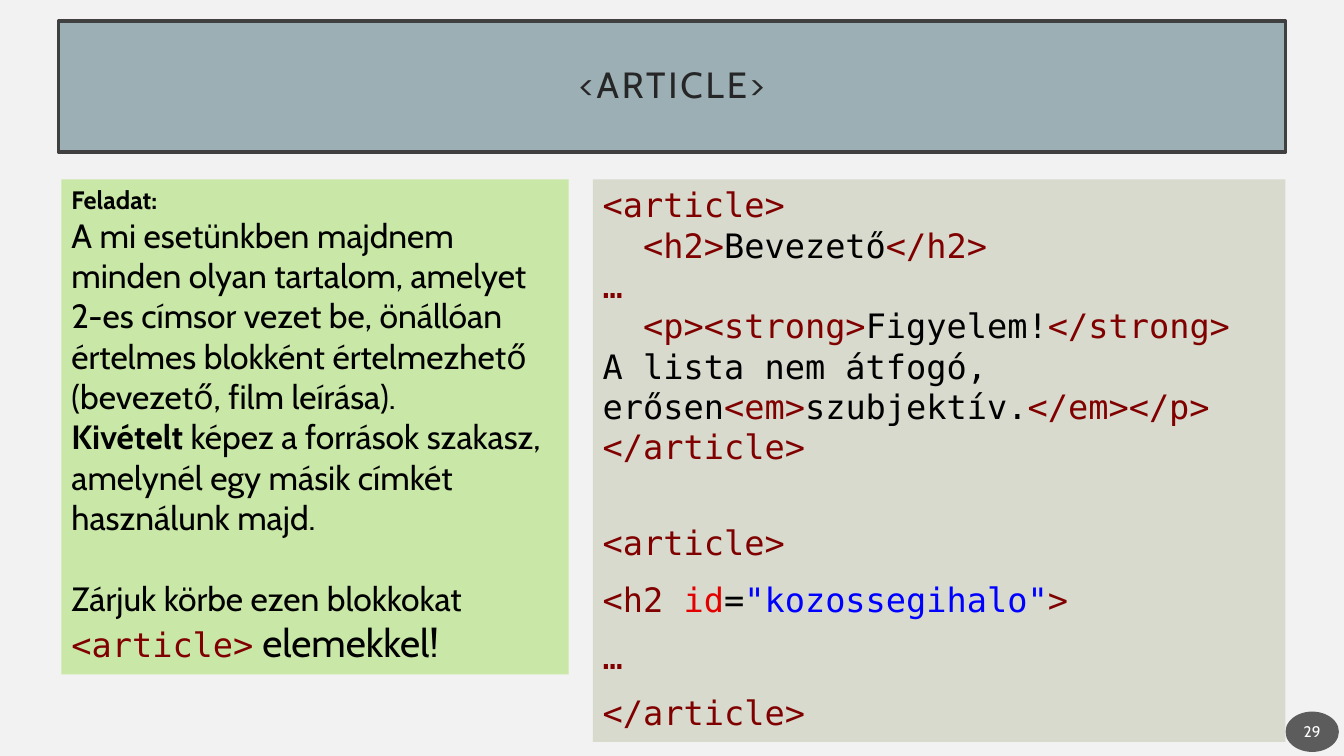
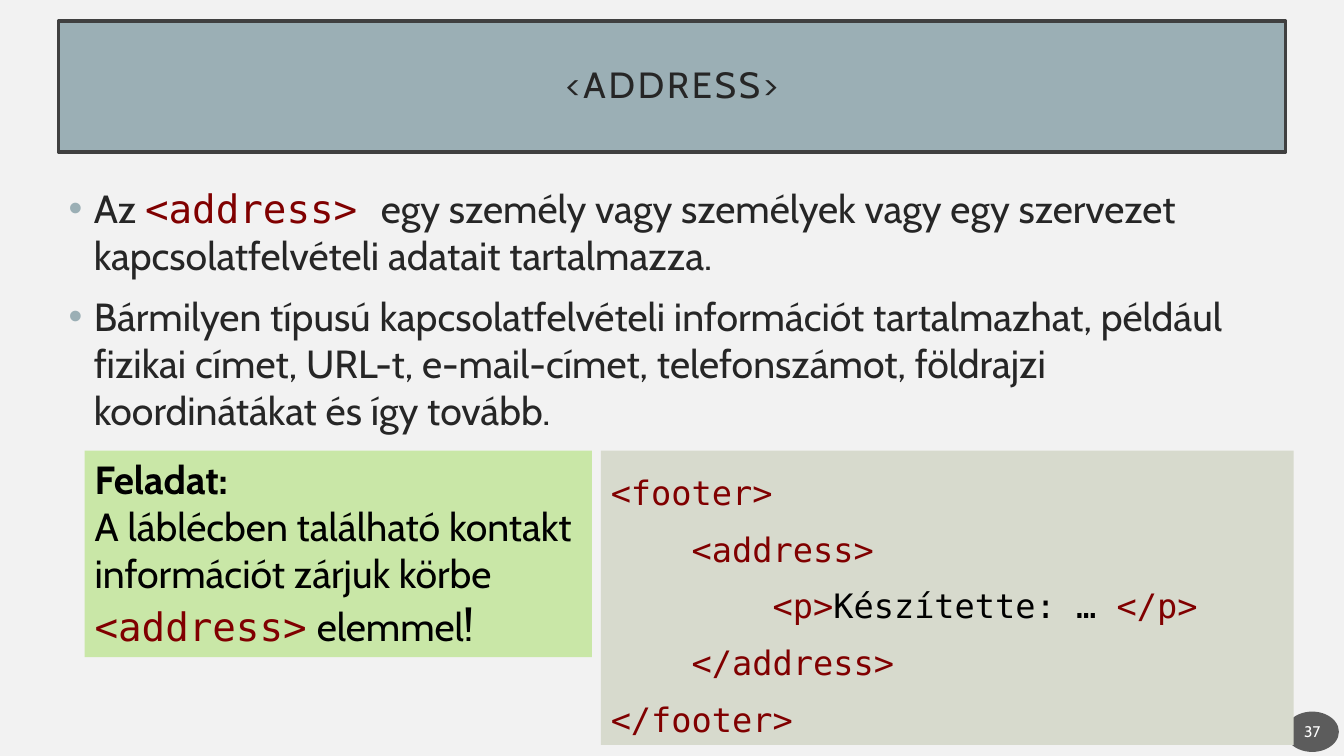
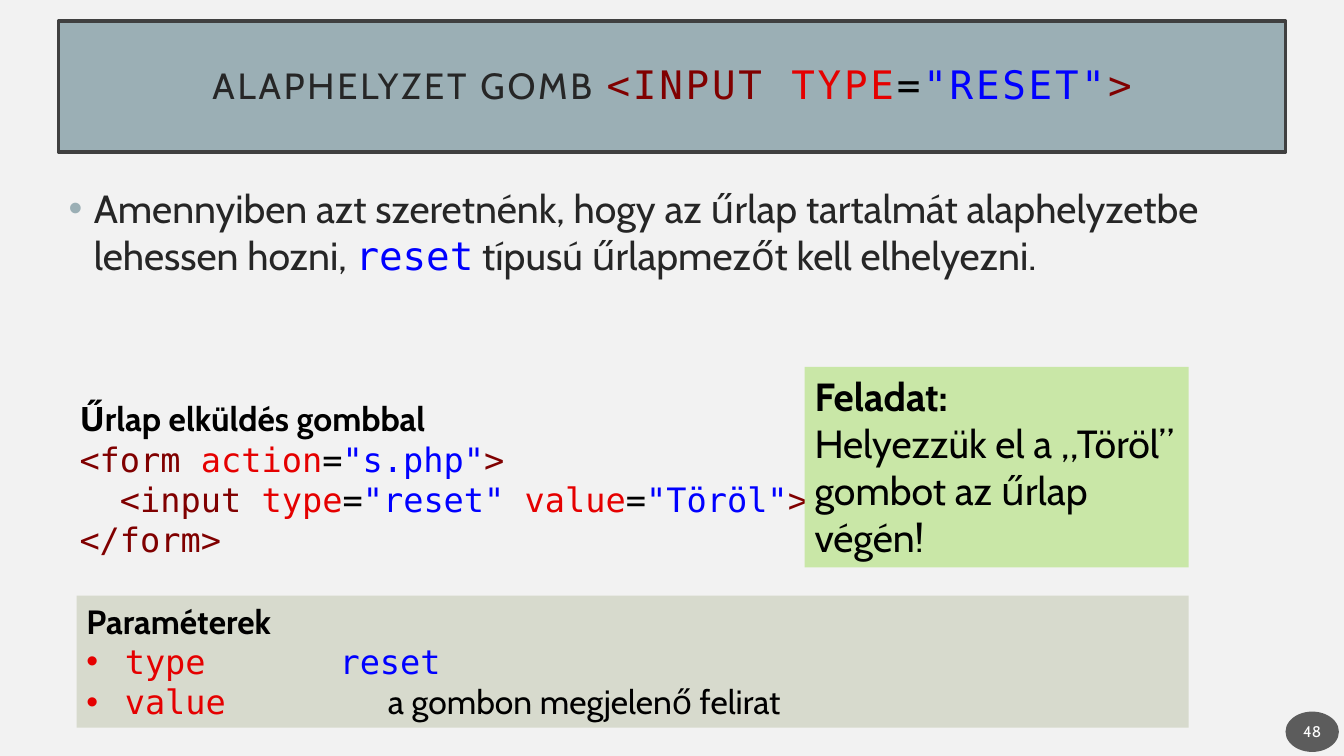
from lxml import etree
from pptx import Presentation
from pptx.dml.color import RGBColor
from pptx.enum.shapes import MSO_SHAPE
from pptx.enum.text import MSO_ANCHOR, MSO_AUTO_SIZE, PP_ALIGN
from pptx.oxml.ns import qn
from pptx.util import Inches, Pt

OVAL = MSO_SHAPE.OVAL
MIDDLE, TOP = MSO_ANCHOR.MIDDLE, MSO_ANCHOR.TOP
NO_FIT = MSO_AUTO_SIZE.NONE
CENTER, LEFT = PP_ALIGN.CENTER, PP_ALIGN.LEFT

COLORS = {
    "background": "F2F2F2", "band": "9BAFB5", "band_line": "404040",
    "ink": "262626", "black": "000000", "white": "FFFFFF", "badge": "1D1D1D",
    "task": "C9E7A7", "code_panel": "D7DACD",
    "tag": "800000", "attribute": "E50000", "value": "0000FF",
}
SANS, MONO = "Cabin", "DejaVu Sans Mono"

# role: font, colour, bold
ROLES = {
    "heading": (SANS, "ink", False),
    "text": (SANS, "black", False),
    "bold": (SANS, "black", True),
    "number": (SANS, "white", False),
    "code": (MONO, "black", False),
    "tag": (MONO, "tag", False),
    "attr": (MONO, "attribute", False),
    "value": (MONO, "value", False),
}
TITLE_ONLY, TITLE_AND_BODY = 5, 1
TITLE_BOX = (0.58, 0.21, 12.17, 1.3)
BADGE_BOX = (12.75, 7.06, 0.53, 0.4)
CODE_LEADING = Pt(40.5)


def rgb(name):
    return RGBColor.from_string(COLORS[name])


def place(shape, box):
    shape.left, shape.top, shape.width, shape.height = map(Inches, box)


def set_frame(frame, anchor=TOP, inset_x=0.1, inset_y=0.05):
    frame.word_wrap = True
    frame.auto_size = NO_FIT
    frame.vertical_anchor = anchor
    frame.margin_left = frame.margin_right = Inches(inset_x)
    frame.margin_top = frame.margin_bottom = Inches(inset_y)


def add_bullet(paragraph, indent, color=None, tab=None):
    """Hang a bullet at the indent, with an optional tab stop, in inches."""
    properties = paragraph._p.get_or_add_pPr()
    properties.set("marL", str(Inches(indent)))
    properties.set("indent", str(-Inches(indent)))
    if color:
        bullet_color = etree.SubElement(properties, qn("a:buClr"))
        etree.SubElement(bullet_color, qn("a:srgbClr"), val=COLORS[color])
    etree.SubElement(properties, qn("a:buFont"), typeface="Arial")
    etree.SubElement(properties, qn("a:buChar"), char="•")
    if tab:
        stops = etree.SubElement(properties, qn("a:tabLst"))
        etree.SubElement(stops, qn("a:tab"), pos=str(Inches(tab)), algn="l")


def write_runs(paragraph, parts, size):
    """Write (role, text) or (role, text, own size) parts as runs."""
    for role, text, *own_size in parts:
        run = paragraph.add_run()
        run.text = text
        font_name, color, bold = ROLES[role]
        run.font.name = font_name
        run.font.size = Pt(own_size[0] if own_size else size)
        run.font.bold = bold
        run.font.color.rgb = rgb(color)


def write_lines(frame, lines, size, align=LEFT):
    """Write one paragraph per line and return the paragraphs."""
    for index, parts in enumerate(lines):
        paragraph = frame.add_paragraph() if index else frame.paragraphs[0]
        paragraph.alignment = align
        write_runs(paragraph, parts, size)
    return frame.paragraphs


def add_title(slide, parts):
    title = slide.shapes.title
    place(title, TITLE_BOX)
    title.fill.solid()
    title.fill.fore_color.rgb = rgb("band")
    title.line.color.rgb = rgb("band_line")
    title.line.width = Pt(2.5)
    set_frame(title.text_frame, MIDDLE, 0.2, 0.2)
    paragraph = write_lines(title.text_frame, [parts], 26, CENTER)[0]
    paragraph.line_spacing = 0.9
    for run in paragraph.runs:
        run.font._element.set("spc", "200")


def add_body(slide, box, items):
    body = slide.placeholders[1]
    place(body, box)
    set_frame(body.text_frame)
    for index, paragraph in enumerate(write_lines(body.text_frame, items, 28)):
        add_bullet(paragraph, 0.25, "band")
        paragraph.space_before = Pt(10 if index else 0)


def add_badge(slide, number):
    badge = slide.shapes.add_shape(OVAL, *map(Inches, BADGE_BOX))
    badge.shadow.inherit = False
    badge.line.fill.background()
    badge.fill.solid()
    badge.fill.fore_color.rgb = rgb("badge")
    color = badge.fill._xPr.find(".//" + qn("a:srgbClr"))
    etree.SubElement(color, qn("a:alpha"), val="70000")
    set_frame(badge.text_frame, MIDDLE, 0.02)
    write_lines(badge.text_frame, [[("number", str(number))]], 11, CENTER)


def add_panel(slide, box, lines, size, fill=None):
    """Add a text panel and return its paragraphs."""
    panel = slide.shapes.add_textbox(*map(Inches, box))
    if fill:
        panel.fill.solid()
        panel.fill.fore_color.rgb = rgb(fill)
    set_frame(panel.text_frame)
    return write_lines(panel.text_frame, lines, size)


def add_task(slide, box, lines, size=28, label_size=28):
    label = [("bold", "Feladat:", label_size)]
    return add_panel(slide, box, [label, *lines], size, "task")


def start_slide(prs, layout, title, number):
    slide = prs.slides.add_slide(prs.slide_layouts[layout])
    add_title(slide, title)
    add_badge(slide, number)
    return slide


def build_article(prs):
    slide = start_slide(prs, TITLE_ONLY, [("heading", "<ARTICLE>")], 29)
    task = add_task(slide, (0.61, 1.78, 5.03, 4.91), [
        [("text", "A mi esetünkben majdnem minden olyan tartalom, amelyet "
                  "2-es címsor vezet be, önállóan értelmes blokként "
                  "értelmezhető (bevezető, film leírása).")],
        [("bold", "Kivételt"),
         ("text", " képez a források szakasz, amelynél egy másik címkét "
                  "használunk majd.")],
        [("text", "Zárjuk körbe ezen blokkokat "), ("tag", "<article>"),
         ("text", " elemekkel!", 28)],
    ], size=24, label_size=18)
    task[-1].space_before = Pt(28.8)

    intro = [
        [("tag", "<article>")],
        [("tag", "  <h2>"), ("code", "Bevezető"), ("tag", "</h2>")],
        [("tag", "…")],
        [("tag", "  <p><strong>"), ("code", "Figyelem!"), ("tag", "</strong>")],
        [("code", "A lista nem átfogó, erősen"), ("tag", "<em>"),
         ("code", "szubjektív."), ("tag", "</em></p>")],
        [("tag", "</article>")],
    ]
    network = [
        [("tag", "<article>")],
        [("tag", "<h2 "), ("attr", "id"), ("code", "="),
         ("value", '"kozossegihalo"'), ("tag", ">")],
        [("tag", "…")],
        [("tag", "</article>")],
    ]
    code = add_panel(slide, (5.88, 1.78, 6.87, 5.58), intro + network, 24,
                     "code_panel")
    network_lines = code[len(intro):]
    for paragraph in network_lines:
        paragraph.line_spacing = CODE_LEADING
    network_lines[0].space_before = Pt(28)


def build_address(prs):
    slide = start_slide(prs, TITLE_AND_BODY, [("heading", "<ADDRESS>")], 37)
    add_body(slide, (0.58, 1.78, 12.18, 5.2), [
        [("heading", "Az "), ("tag", "<address> "),
         ("heading", "egy személy vagy személyek vagy egy szervezet "
                     "kapcsolatfelvételi adatait tartalmazza.")],
        [("heading", "Bármilyen típusú kapcsolatfelvételi információt "
                     "tartalmazhat, például fizikai címet, URL-t, "
                     "e-mail-címet, telefonszámot, földrajzi koordinátákat "
                     "és így tovább.")],
    ])
    add_task(slide, (0.84, 4.47, 5.03, 2.05), [
        [("text", "A láblécben található kontakt információt zárjuk körbe "),
         ("tag", "<address>"), ("text", " ", 32), ("text", "elemmel"),
         ("text", "!", 32)],
    ])
    code = add_panel(slide, (5.96, 4.47, 6.87, 2.92), [
        [("tag", "<footer>")],
        [("tag", "    <address>")],
        [("tag", "        <p>"), ("code", "Készítette: … "), ("tag", "</p>")],
        [("tag", "    </address>")],
        [("tag", "</footer>")],
    ], 24, "code_panel")
    for paragraph in code:
        paragraph.line_spacing = CODE_LEADING


def build_reset(prs):
    slide = start_slide(prs, TITLE_AND_BODY, [
        ("heading", "ALAPHELYZET GOMB "), ("tag", "<INPUT ", 28),
        ("attr", "TYPE", 28), ("code", "=", 28), ("value", '"RESET"', 28),
        ("tag", ">", 28),
    ], 48)
    add_body(slide, (0.58, 1.78, 12.18, 1.97), [
        [("heading", "Amennyiben azt szeretnénk, hogy az űrlap tartalmát "
                     "alaphelyzetbe lehessen hozni, "),
         ("value", "reset"),
         ("heading", " típusú űrlapmezőt kell elhelyezni.")],
    ])
    add_panel(slide, (0.69, 3.9, 11.81, 1.72), [
        [("bold", "Űrlap elküldés gombbal")],
        [("tag", "<form "), ("attr", "action"), ("code", "="),
         ("value", '"s.php"'), ("tag", ">")],
        [("tag", "  <input "), ("attr", "type"), ("code", "="),
         ("value", '"reset" '), ("attr", "value"), ("code", "="),
         ("value", '"Töröl"'), ("tag", ">")],
        [("tag", "</form>")],
    ], 24)
    parameters = add_panel(slide, (0.76, 5.91, 11.03, 1.31), [
        [("bold", "Paraméterek")],
        [("attr", "type\t"), ("value", "reset")],
        [("attr", "value\t"), ("text", "a gombon megjelenő felirat")],
    ], 24, "code_panel")
    for paragraph, tab in zip(parameters[1:], (2.51, 2.99)):
        add_bullet(paragraph, 0.38, tab=tab)
    add_task(slide, (7.98, 3.64, 3.81, 1.99), [
        [("text", "Helyezzük el a „Töröl” gombot az űrlap végén!")],
    ])


def main():
    prs = Presentation()
    prs.slide_width, prs.slide_height = Inches(13.33), Inches(7.5)
    background = prs.slide_master.background.fill
    background.solid()
    background.fore_color.rgb = rgb("background")
    build_article(prs)
    build_address(prs)
    build_reset(prs)
    prs.save("out.pptx")


if __name__ == "__main__":
    main()
